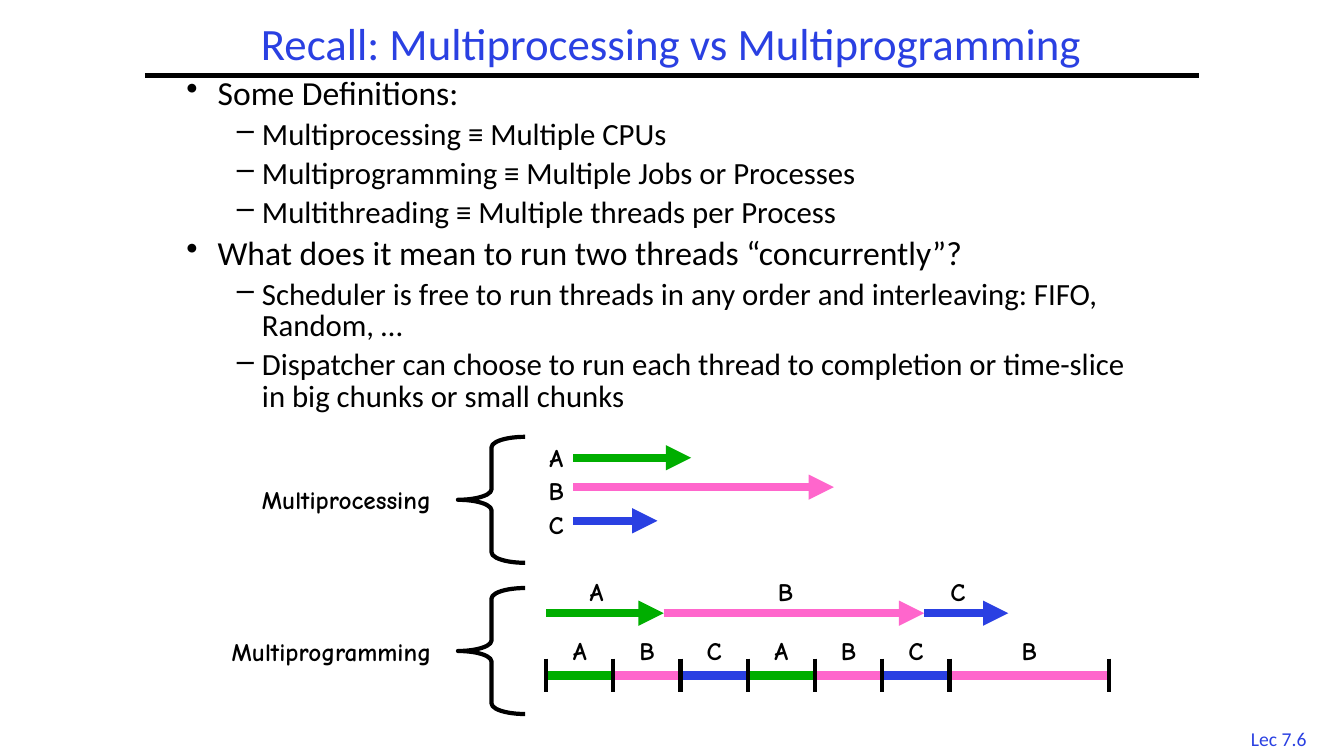
from itertools import accumulate

from lxml import etree
from pptx import Presentation
from pptx import util as u
from pptx.dml.color import RGBColor
from pptx.enum import shapes, text
from pptx.oxml.ns import qn

# Grid: twelve columns and twelve rows to the inch
CELL = u.Inches(1) / 12
BLACK, BLUE = "000000", "2A40E2"
THREAD_COLORS = {"A": "00AE00", "B": "FF66CC", "C": BLUE}
THREAD_LENGTHS = {"A": 14, "B": 31, "C": 10}
BODY_FONT, DIAGRAM_FONT = "Calibri", "Comic Neue"
TIMELINE_START = 65
SLICE = 8

DEFINITIONS = [
    (0, "Some Definitions:"),
    (1, "Multiprocessing ≡ Multiple CPUs"),
    (1, "Multiprogramming ≡ Multiple Jobs or Processes"),
    (1, "Multithreading ≡ Multiple threads per Process"),
    (0, "What does it mean to run two threads “concurrently”?"),
    (1, "Scheduler is free to run threads in any order and interleaving: "
        "FIFO, Random, …"),
    (1, "Dispatcher can choose to run each thread to completion or "
        "time-slice in big chunks or small chunks"),
]
# Per level: bullet, left margin and hanging indent in inches, text size
LEVELS = [("•", 0.31, 0.31, 24), ("–", 0.75, 0.25, 22)]


def grid(*cells):
    return [u.Emu(round(cell * CELL)) for cell in cells]


def color(hex_string):
    return RGBColor.from_string(hex_string)


def add_run(paragraph, words, size, hex_string, font, bold=False):
    run = paragraph.add_run()
    run.text = words
    run.font.size = u.Pt(size)
    run.font.name = font
    run.font.bold = bold
    run.font.color.rgb = color(hex_string)


def add_frame(parent, left, top, width, height):
    frame = parent.add_textbox(*grid(left, top, width, height)).text_frame
    frame.word_wrap = True
    return frame


def add_label(parent, words, left, top, width, height, size, hex_string,
              font, align=text.PP_ALIGN.CENTER, bold=False):
    frame = add_frame(parent, left, top, width, height)
    frame.vertical_anchor = text.MSO_ANCHOR.MIDDLE
    paragraph = frame.paragraphs[0]
    paragraph.alignment = align
    add_run(paragraph, words, size, hex_string, font, bold)
    return paragraph


def add_thread_name(parent, name, center, top):
    add_label(parent, name, center - 2.2, top, 4.4, 4.8, 18, BLACK,
              DIAGRAM_FONT, bold=True)


def add_line(parent, x1, y1, x2, y2, hex_string, weight, arrow=False):
    line = parent.add_connector(shapes.MSO_CONNECTOR.STRAIGHT,
                                *grid(x1, y1, x2, y2))
    line.line.color.rgb = color(hex_string)
    line.line.width = u.Pt(weight)
    if arrow:
        etree.SubElement(line.line._get_or_add_ln(), qn("a:tailEnd"),
                         type="triangle")
    etree.SubElement(line._element.spPr, qn("a:effectLst"))


def add_thread_arrow(parent, name, start, row):
    end = start + THREAD_LENGTHS[name]
    add_line(parent, start, row, end, row, THREAD_COLORS[name], 6, arrow=True)
    return end


def add_brace(parent, name, top, name_left, name_top, name_width):
    brace = parent.add_shape(shapes.MSO_SHAPE.LEFT_BRACE,
                             *grid(54.5, top, 8, 15))
    brace.adjustments[0] = 0.156
    brace.shadow.inherit = False
    brace.fill.background()
    brace.line.color.rgb = color(BLACK)
    brace.line.width = u.Pt(3)
    add_label(parent, name, name_left, name_top, name_width, 4.8, 18, BLACK,
              DIAGRAM_FONT, text.PP_ALIGN.LEFT, bold=True)


def add_outline(parent):
    frame = add_frame(parent, 21, 8.75, 114.4, 44.75)
    for index, (level, words) in enumerate(DEFINITIONS):
        bullet, margin, hanging, size = LEVELS[level]
        paragraph = frame.add_paragraph() if index else frame.paragraphs[0]
        paragraph.level = level
        paragraph.line_spacing = 0.85
        if index:
            paragraph.space_before = u.Pt(size / 4)
        properties = paragraph._p.get_or_add_pPr()
        properties.set("marL", str(u.Inches(margin)))
        properties.set("indent", str(-u.Inches(hanging)))
        etree.SubElement(properties, qn("a:buChar"), char=bullet)
        add_run(paragraph, words, size, BLACK, BODY_FONT)


def add_multiprogramming(parent):
    # Threads run to completion, one after another
    start = TIMELINE_START
    for name in "ABC":
        end = add_thread_arrow(parent, name, start, 73)
        add_thread_name(parent, name, (start + end) / 2 - 1, 68)
        start = end

    # Threads run in time slices; B alone remains for the last one
    order = "ABCABCB"
    lengths = [SLICE] * 6 + [19]
    ticks = list(accumulate(lengths, initial=TIMELINE_START))
    for name, start, end in zip(order, ticks, ticks[1:]):
        add_line(parent, start, 80.4, end, 80.4, THREAD_COLORS[name], 6)
        add_thread_name(parent, name, (start + end) / 2, 75)
    for tick in ticks:
        add_line(parent, tick, 78.4, tick, 82.4, BLACK, 3)

    add_brace(parent, "Multiprogramming", 70, 26.4, 75.1, 27.6)


def add_multiprocessing(parent):
    # Threads run side by side
    for index, (name, row) in enumerate(zip("ABC", (54.5, 58, 62))):
        add_thread_name(parent, name, 66.2, 52 + 4 * index)
        add_thread_arrow(parent, name, 68.25, row)
    add_brace(parent, "Multiprocessing", 52, 30, 57, 24.5)


def main():
    deck = Presentation()
    deck.slide_width, deck.slide_height = u.Inches(13.33), u.Inches(7.5)
    slide = deck.slides.add_slide(deck.slide_layouts[6])

    # Footer, rule and title
    add_label(slide.shapes, "Lec 7.6", 146.4, 85.9, 11.6, 4, 14, BLUE,
              BODY_FONT)
    add_line(slide.shapes, 17.25, 9, 142.7, 9, BLACK, 3)
    title = add_label(slide.shapes,
                      "Recall: Multiprocessing vs Multiprogramming",
                      17.25, 2, 125.3, 7, 32, BLUE, BODY_FONT)
    title.line_spacing = 0.9

    # Definitions and the two diagrams
    add_outline(slide.shapes)
    add_multiprogramming(slide.shapes.add_group_shape().shapes)
    add_multiprocessing(slide.shapes.add_group_shape().shapes)

    deck.save("out.pptx")


if __name__ == "__main__":
    main()
